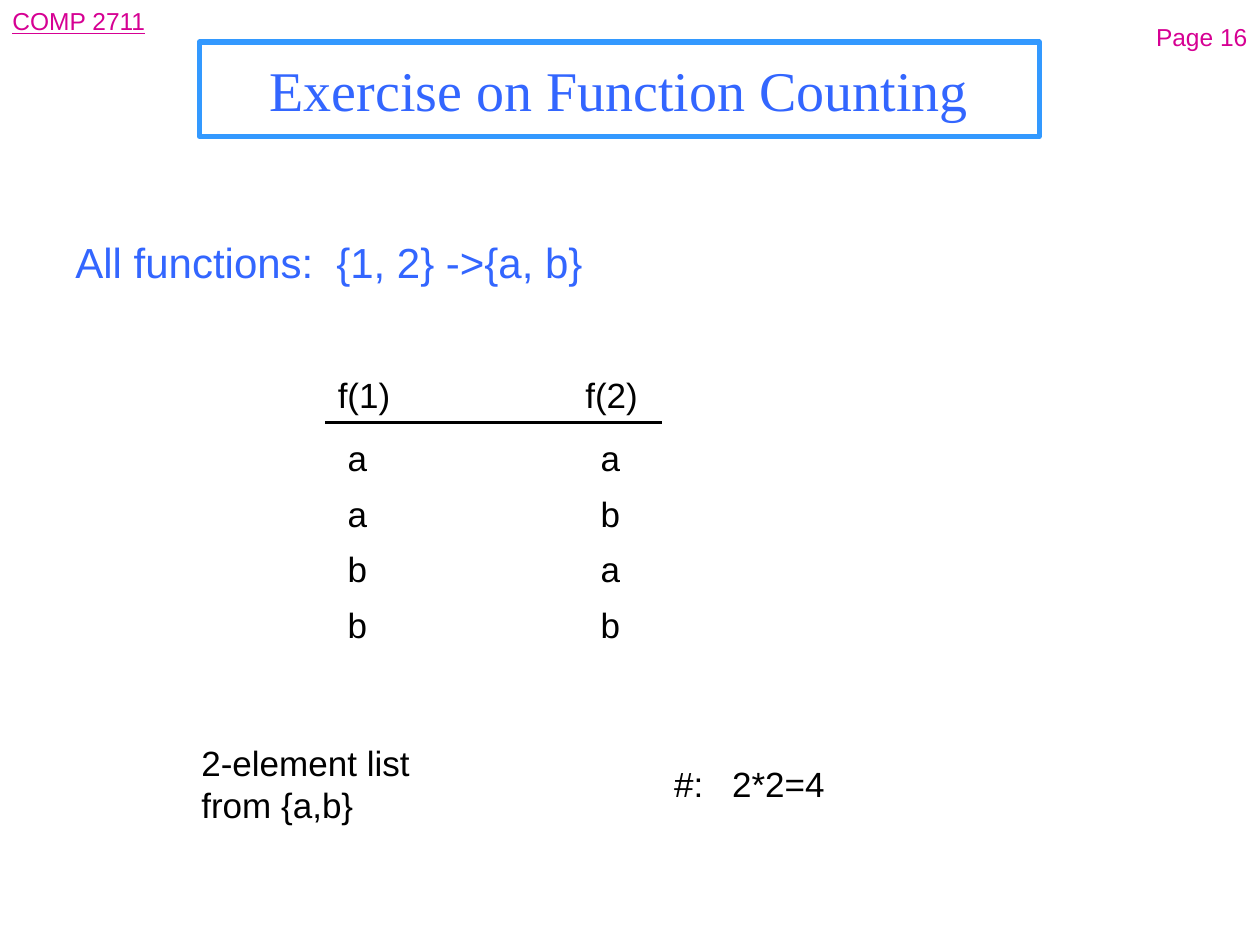
from lxml import etree
from pptx import Presentation
from pptx import util as u
from pptx.dml.color import RGBColor
from pptx.enum import shapes, text
from pptx.oxml.ns import qn

COLOURS = {"black": "000000", "blue": "3366FF", "border": "3399FF", "magenta": "D60093"}
BODY = {"name": "Arial", "size": u.Pt(20)}
SMALL = {"name": "Arial", "size": u.Pt(14)}
LEAD = {"name": "Arial", "size": u.Pt(24)}
TITLE = {"name": "Times New Roman", "size": u.Pt(32)}

TABLE_LEFT, TABLE_WIDTH = 6.56, 6.78
ROW_TOP, ROW_PITCH = 8.68, 1.12
VALUES = "ab"


def colour(name):
    return RGBColor.from_string(COLOURS[name])


def add_tab_stop(paragraph, position):
    tab_list = etree.SubElement(paragraph._p.get_or_add_pPr(), qn("a:tabLst"))
    etree.SubElement(tab_list, qn("a:tab"), pos=str(u.Cm(position)), algn="l")


def set_text(shape, words, font, colour_name, frame=None, layout=None, tab=None):
    """Fill a shape with one paragraph; frame and layout hold format values."""
    text_frame = shape.text_frame
    for name, value in {"word_wrap": True, **(frame or {})}.items():
        setattr(text_frame, name, value)
    paragraph = text_frame.paragraphs[0]
    for name, value in (layout or {}).items():
        setattr(paragraph, name, value)
    if tab:
        add_tab_stop(paragraph, tab)
    run = paragraph.add_run()
    run.text = words
    for name, value in font.items():
        setattr(run.font, name, value)
    run.font.color.rgb = colour(colour_name)


def add_text(slide, box, words, font=BODY, colour_name="black", **options):
    shape = slide.shapes.add_textbox(*map(u.Cm, box))
    set_text(shape, words, font, colour_name, **options)


def add_title(slide, box, words):
    shape = slide.shapes.add_shape(shapes.MSO_SHAPE.RECTANGLE, *map(u.Cm, box))
    shape.shadow.inherit = False
    shape.fill.background()
    shape.line.color.rgb = colour("border")
    shape.line.width = u.Pt(3)
    set_text(shape, words, TITLE, "blue",
             frame={"vertical_anchor": text.MSO_ANCHOR.MIDDLE},
             layout={"alignment": text.PP_ALIGN.CENTER})


def add_rule(slide, left, top, width):
    line = slide.shapes.add_connector(
        shapes.MSO_CONNECTOR.STRAIGHT, *map(u.Cm, (left, top, left + width, top)))
    line.line.color.rgb = colour("black")
    line.line.width = u.Pt(1.5)
    etree.SubElement(line._element.spPr, qn("a:effectLst"))


def add_function_list(slide):
    """List every pair of values f(1), f(2) under a ruled heading."""
    add_text(slide, (TABLE_LEFT, 7.41, TABLE_WIDTH, 1.11), "f(1)\tf(2)", tab=4.99)
    add_rule(slide, TABLE_LEFT, 8.52, TABLE_WIDTH)
    pairs = [(first, second) for first in VALUES for second in VALUES]
    for row, pair in enumerate(pairs):
        add_text(slide, (TABLE_LEFT, ROW_TOP + row * ROW_PITCH, 6.56, 1.11),
                 "\t".join(pair), frame={"margin_left": u.Cm(0.45)}, tab=5.1)


def main():
    presentation = Presentation()
    presentation.slide_width, presentation.slide_height = u.Cm(25.4), u.Cm(19.05)
    slide = presentation.slides.add_slide(presentation.slide_layouts[6])

    add_text(slide, (0, 0, 7.41, 0.86), "COMP 2711", {**SMALL, "underline": True}, "magenta")
    add_text(slide, (22.02, 0, 3.38, 1.48), "Page 16", SMALL, "magenta",
             frame={"word_wrap": False, "vertical_anchor": text.MSO_ANCHOR.MIDDLE},
             layout={"alignment": text.PP_ALIGN.RIGHT})
    add_title(slide, (4.02, 0.85, 16.93, 1.9), "Exercise on Function Counting")
    add_text(slide, (1.27, 4.45, 22.86, 1.9), "All functions:\t{1, 2} ->{a, b}", LEAD, "blue",
             layout={"line_spacing": 1.2}, tab=5.26)
    add_function_list(slide)
    add_text(slide, (3.81, 14.82, 4.87, 1.96), "2-element list from {a,b}")
    add_text(slide, (13.34, 15.24, 3.81, 1.11), "#:\t2*2=4", tab=1.17)

    presentation.save("out.pptx")


if __name__ == "__main__":
    main()
